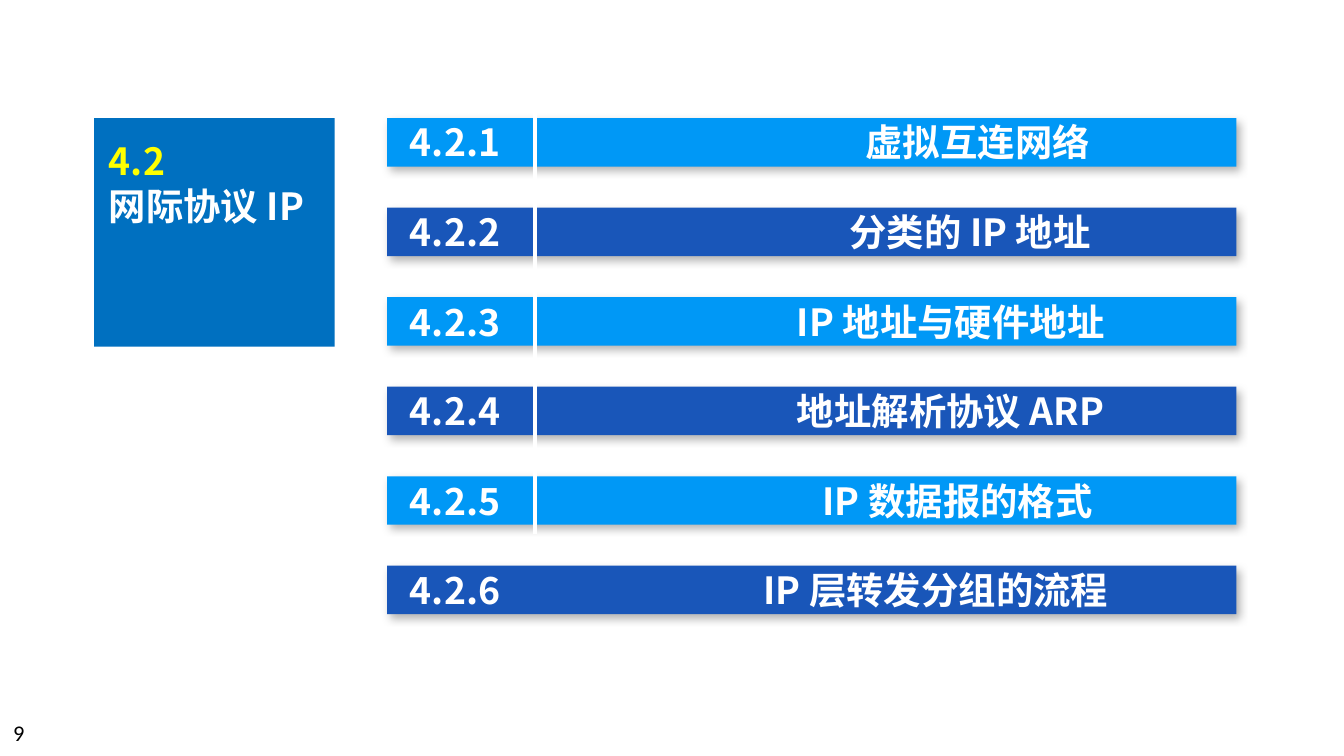
from dataclasses import dataclass

from lxml import etree
from pptx import Presentation
from pptx.dml.color import RGBColor
from pptx.enum.shapes import MSO_CONNECTOR, MSO_SHAPE
from pptx.enum.text import MSO_ANCHOR, MSO_AUTO_SIZE, PP_ALIGN
from pptx.oxml.ns import qn
from pptx.util import Inches, Pt

RECTANGLE = MSO_SHAPE.RECTANGLE
STRAIGHT = MSO_CONNECTOR.STRAIGHT
TOP = MSO_ANCHOR.TOP
LEFT = PP_ALIGN.LEFT
NO_AUTOFIT = MSO_AUTO_SIZE.NONE


@dataclass(frozen=True)
class Theme:
    light_bar: str = "0098F6"
    dark_bar: str = "1956B9"
    block: str = "0070C0"
    accent: str = "FFFF00"
    white: str = "FFFFFF"
    black: str = "000000"
    heading_font: str = "Noto Sans CJK SC"
    number_font: str = "Calibri"
    heading_size: int = 20
    number_size: int = 12
    line_pitch: int = 24


THEME = Theme()

# Number, title and the hanging indent of the title in inches
SECTIONS = [
    ("4.2.1", "虚拟互连网络", 3.39),
    ("4.2.2", "分类的 IP 地址", 3.27),
    ("4.2.3", "IP 地址与硬件地址", 2.88),
    ("4.2.4", "地址解析协议 ARP", 2.88),
    ("4.2.5", "IP 数据报的格式", 3.07),
    ("4.2.6", "IP 层转发分组的流程", 2.63),
]


def place(shape, left, top, width, height):
    shape.left, shape.top = Inches(left), Inches(top)
    shape.width, shape.height = Inches(width), Inches(height)


def bring_to_front(shape):
    shape.element.getparent().append(shape.element)


def prepare_frame(shape):
    frame = shape.text_frame
    frame.word_wrap = True
    frame.auto_size = NO_AUTOFIT
    frame.vertical_anchor = TOP
    frame.margin_left = frame.margin_right = Inches(0.1)
    frame.margin_top = frame.margin_bottom = Inches(0.05)
    return frame


def write(paragraph, text, *, color, size=THEME.heading_size,
          font=THEME.heading_font, bold=True, pitch=None, after=0, hanging=0):
    paragraph.alignment = LEFT
    paragraph.space_before, paragraph.space_after = Pt(0), Pt(after)
    if pitch:
        paragraph.line_spacing = Pt(pitch)
    properties = paragraph._p.get_or_add_pPr()
    properties.set("marL", str(Inches(hanging)))
    properties.set("indent", str(-Inches(hanging)))
    etree.SubElement(properties, qn("a:buNone"))
    run = paragraph.add_run()
    run.text = text
    run.font.name, run.font.size, run.font.bold = font, Pt(size), bold
    run.font.color.rgb = RGBColor.from_string(color)
    east_asian = etree.SubElement(run.font._element, qn("a:ea"))
    east_asian.set("typeface", font)


def add_rectangle(slide, left, top, width, height, color):
    rectangle = slide.shapes.add_shape(
        RECTANGLE, Inches(left), Inches(top), Inches(width), Inches(height))
    rectangle.shadow.inherit = False
    rectangle.fill.solid()
    rectangle.fill.fore_color.rgb = RGBColor.from_string(color)
    rectangle.line.fill.background()
    return rectangle


def add_drop_shadow(shape):
    effects = shape.element.spPr.find(qn("a:effectLst"))
    shadow = etree.SubElement(
        effects, qn("a:outerShdw"), blurRad=str(Pt(4.5)), dist=str(Pt(2.6)),
        dir=str(53 * 60000), algn="tl", rotWithShape="0")
    color = etree.SubElement(shadow, qn("a:srgbClr"), val=THEME.black)
    etree.SubElement(color, qn("a:alpha"), val="30000")


def add_divider(slide, x, top, bottom):
    divider = slide.shapes.add_connector(
        STRAIGHT, Inches(x), Inches(top), Inches(x), Inches(bottom))
    divider.line.color.rgb = RGBColor.from_string(THEME.white)
    divider.line.width = Pt(2.25)
    etree.SubElement(divider.element.spPr, qn("a:effectLst"))


def build_section_list(slide, left, top, width, height):
    bar_height = 0.36
    step = (height - bar_height) / (len(SECTIONS) - 1)
    for index in range(len(SECTIONS)):
        color = THEME.dark_bar if index % 2 else THEME.light_bar
        add_drop_shadow(add_rectangle(
            slide, left, top + index * step, width, bar_height, color))
    add_divider(slide, left + 1.1, top - 0.08, top + 3.09)

    body = slide.placeholders[1]
    place(body, left + 0.07, top - 0.04, 6.1, 3.8)
    bring_to_front(body)
    frame = prepare_frame(body)
    for index, (number, title, hanging) in enumerate(SECTIONS):
        paragraph = frame.add_paragraph() if index else frame.paragraphs[0]
        write(paragraph, f"{number}\t{title}", color=THEME.white,
              hanging=hanging, pitch=THEME.line_pitch,
              after=step * 72 - THEME.line_pitch)


def build_title_block(slide, left, top, width, height):
    add_rectangle(slide, left, top, width, height, THEME.block)
    title = slide.shapes.title
    place(title, left + 0.01, top + 0.1, width - 0.01, 0.77)
    bring_to_front(title)
    frame = prepare_frame(title)
    write(frame.paragraphs[0], "4.2", color=THEME.accent,
          pitch=THEME.line_pitch)
    write(frame.add_paragraph(), "网际协议 IP", color=THEME.white,
          pitch=THEME.line_pitch)


def build_page_number(slide, left, top, width, height):
    number = slide.shapes.add_textbox(
        Inches(left), Inches(top), Inches(width), Inches(height))
    write(prepare_frame(number).paragraphs[0], "9", color=THEME.black,
          size=THEME.number_size, font=THEME.number_font, bold=False)


def main():
    presentation = Presentation()
    presentation.slide_width = Inches(10)
    presentation.slide_height = presentation.slide_width * 9 // 16
    slide = presentation.slides.add_slide(presentation.slide_layouts[1])
    build_section_list(slide, 2.88, 0.88, 6.32, 3.69)
    build_title_block(slide, 0.7, 0.88, 1.79, 1.7)
    build_page_number(slide, 0, 5.3, 2.33, 0.3)
    presentation.save("out.pptx")


if __name__ == "__main__":
    main()
